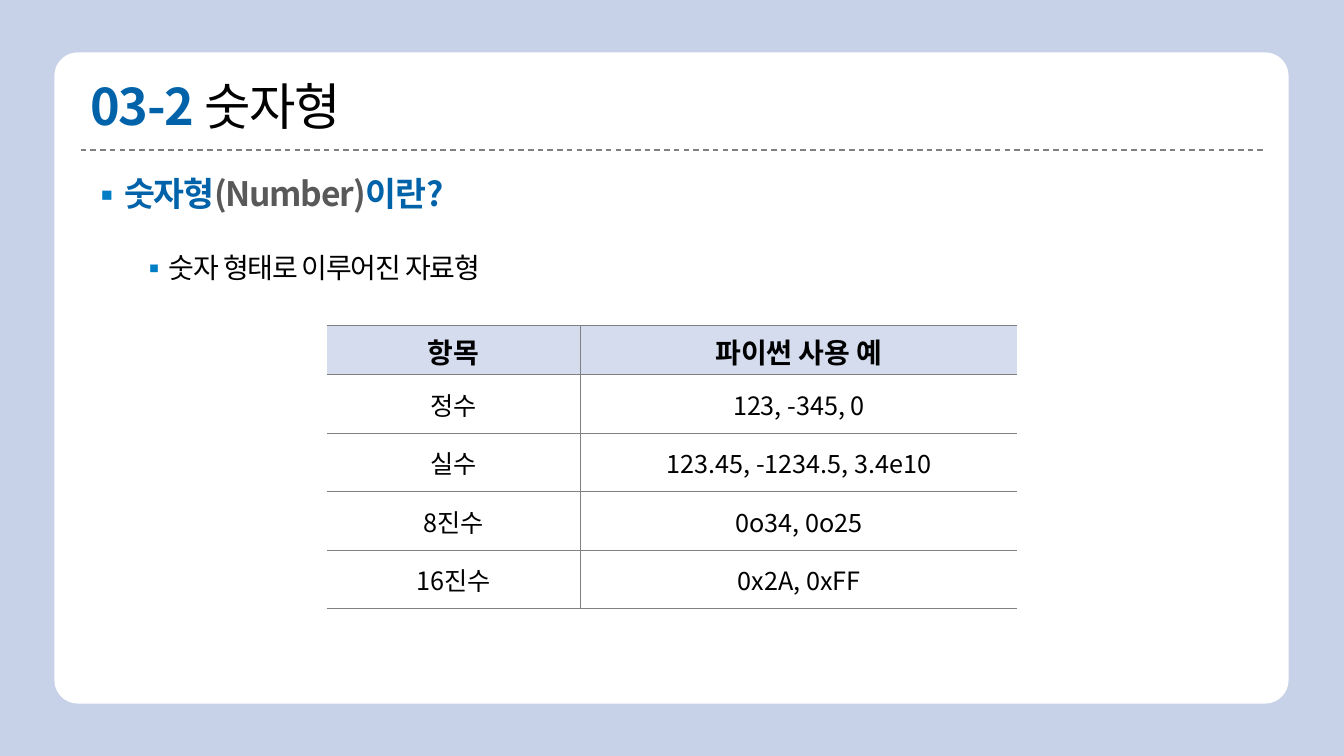
import pptx
import pptx.dml.color
import pptx.enum.dml
import pptx.enum.shapes
import pptx.enum.text
import pptx.oxml.ns
import pptx.util
from lxml import etree

Inches = pptx.util.Inches
Pt = pptx.util.Pt
RGBColor = pptx.dml.color.RGBColor
qn = pptx.oxml.ns.qn
ANCHOR = pptx.enum.text.MSO_ANCHOR

PERIWINKLE = RGBColor(0xC7, 0xD1, 0xE8)
HEADER_FILL = RGBColor(0xD4, 0xDC, 0xEE)
WHITE = RGBColor(0xFF, 0xFF, 0xFF)
BLACK = RGBColor(0, 0, 0)
GRAY = RGBColor(0x80, 0x80, 0x80)
DARK_GRAY = RGBColor(0x59, 0x59, 0x59)
BLUE = RGBColor(0, 0x63, 0xA9)
BULLET_BLUE = RGBColor(0, 0x7E, 0xC5)


class SlideBuilder:
    font = "Noto Sans CJK KR"

    def __init__(self, slide):
        self.slide = slide

    def background(self, color):
        fill = self.slide.background.fill
        fill.solid()
        fill.fore_color.rgb = color

    def panel(self, x, y, w, h, color):
        sp = self.slide.shapes.add_shape(
            pptx.enum.shapes.MSO_SHAPE.ROUNDED_RECTANGLE,
            Inches(x), Inches(y), Inches(w), Inches(h))
        sp.adjustments[0] = 0.036
        sp.shadow.inherit = False
        sp.fill.solid()
        sp.fill.fore_color.rgb = color
        sp.line.fill.background()

    def dashed_rule(self, x1, x2, y):
        line = self.slide.shapes.add_connector(
            pptx.enum.shapes.MSO_CONNECTOR.STRAIGHT,
            Inches(x1), Inches(y), Inches(x2), Inches(y))
        line.line.color.rgb = GRAY
        line.line.width = Pt(1)
        line.line.dash_style = pptx.enum.dml.MSO_LINE.DASH
        etree.SubElement(line._element.spPr, qn("a:effectLst"))

    def text_box(self, x, y, w, h, anchor=ANCHOR.TOP):
        sp = self.slide.shapes.add_textbox(
            Inches(x), Inches(y), Inches(w), Inches(h))
        tf = sp.text_frame
        tf.word_wrap = True
        tf.vertical_anchor = anchor
        return tf

    def style_paragraph(self, p, size, bold=None):
        p.font.size = Pt(size)
        p.font.name = self.font
        if bold is not None:
            p.font.bold = bold
        props = p._p.pPr.find(qn("a:defRPr"))
        etree.SubElement(props, qn("a:ea"), typeface=self.font)

    def runs(self, p, parts, spacing=0):
        for text, color, bold in parts:
            r = p.add_run()
            r.text = text
            r.font.color.rgb = color
            r.font.bold = bold
            props = r._r.get_or_add_rPr()
            if spacing:
                props.set("spc", str(round(spacing * 100)))
            etree.SubElement(props, qn("a:ea"), typeface=self.font)

    def bullet(self, p, left):
        props = p._p.get_or_add_pPr()
        props.set("marL", str(Inches(left)))
        props.set("indent", str(Inches(-0.25)))
        color = etree.SubElement(props, qn("a:buClr"))
        etree.SubElement(color, qn("a:srgbClr"), val=str(BULLET_BLUE))
        etree.SubElement(props, qn("a:buFont"), typeface=self.font)
        etree.SubElement(props, qn("a:buChar"), char="▪")

    def borders(self, cell, visible):
        props = cell._tc.get_or_add_tcPr()
        for i, side in enumerate("LRTB"):
            ln = etree.Element(qn("a:ln" + side), w=str(Pt(0.75)))
            if side in visible:
                fill = etree.SubElement(ln, qn("a:solidFill"))
                etree.SubElement(fill, qn("a:srgbClr"), val=str(GRAY))
            else:
                etree.SubElement(ln, qn("a:noFill"))
            props.insert(i, ln)

    def table(self, x, y, widths, heights, rows):
        table = self.slide.shapes.add_table(
            len(rows), len(widths), Inches(x), Inches(y),
            Inches(sum(widths)), Inches(sum(heights))).table
        for column, width in zip(table.columns, widths):
            column.width = Inches(width)
        for i, (row, height) in enumerate(zip(rows, heights)):
            table.rows[i].height = Inches(height)
            header = i == 0
            for j, text in enumerate(row):
                cell = table.cell(i, j)
                cell.vertical_anchor = ANCHOR.MIDDLE
                if header:
                    cell.fill.solid()
                    cell.fill.fore_color.rgb = HEADER_FILL
                else:
                    cell.fill.background()
                self.borders(cell, "RTB" if j == 0 else "LTB")
                p = cell.text_frame.paragraphs[0]
                p.alignment = pptx.enum.text.PP_ALIGN.CENTER
                self.style_paragraph(p, 20 if header else 18, header)
                self.runs(p, [(text, BLACK, header)])


def main():
    prs = pptx.Presentation()
    prs.slide_width = Inches(13.33)
    prs.slide_height = Inches(7.5)
    s = SlideBuilder(prs.slides.add_slide(prs.slide_layouts[6]))

    # Backdrop
    s.background(PERIWINKLE)
    s.panel(0.54, 0.52, 12.24, 6.46, WHITE)
    s.dashed_rule(0.8, 12.53, 1.49)

    # Title
    p = s.text_box(0.8, 0.73, 11.73, 0.67, ANCHOR.BOTTOM).paragraphs[0]
    p.line_spacing = 0.9
    s.style_paragraph(p, 36)
    s.runs(p, [("03-2 ", BLUE, True), ("숫자형", BLACK, False)], -1)

    # Question and answer
    tf = s.text_box(0.8, 1.71, 11.73, 1.4)
    p = tf.paragraphs[0]
    p.line_spacing = 0.9
    s.bullet(p, 0.25)
    s.style_paragraph(p, 24, True)
    s.runs(p, [("숫자형", BLUE, True), ("(Number)", DARK_GRAY, True),
               ("이란?", BLUE, True)], -0.9)

    p = tf.add_paragraph()
    p.line_spacing = 0.9
    p.space_before = Pt(29)
    s.bullet(p, 0.75)
    s.style_paragraph(p, 20, False)
    s.runs(p, [("숫자 형태로 이루어진 자료형", BLACK, False)], -0.9)

    # Number formats
    s.table(3.24, 3.23, [2.52, 4.33], [0.49] + [0.58] * 4, [
        ("항목", "파이썬 사용 예"),
        ("정수", "123, -345, 0"),
        ("실수", "123.45, -1234.5, 3.4e10"),
        ("8진수", "0o34, 0o25"),
        ("16진수", "0x2A, 0xFF"),
    ])

    prs.save("out.pptx")


if __name__ == "__main__":
    main()
